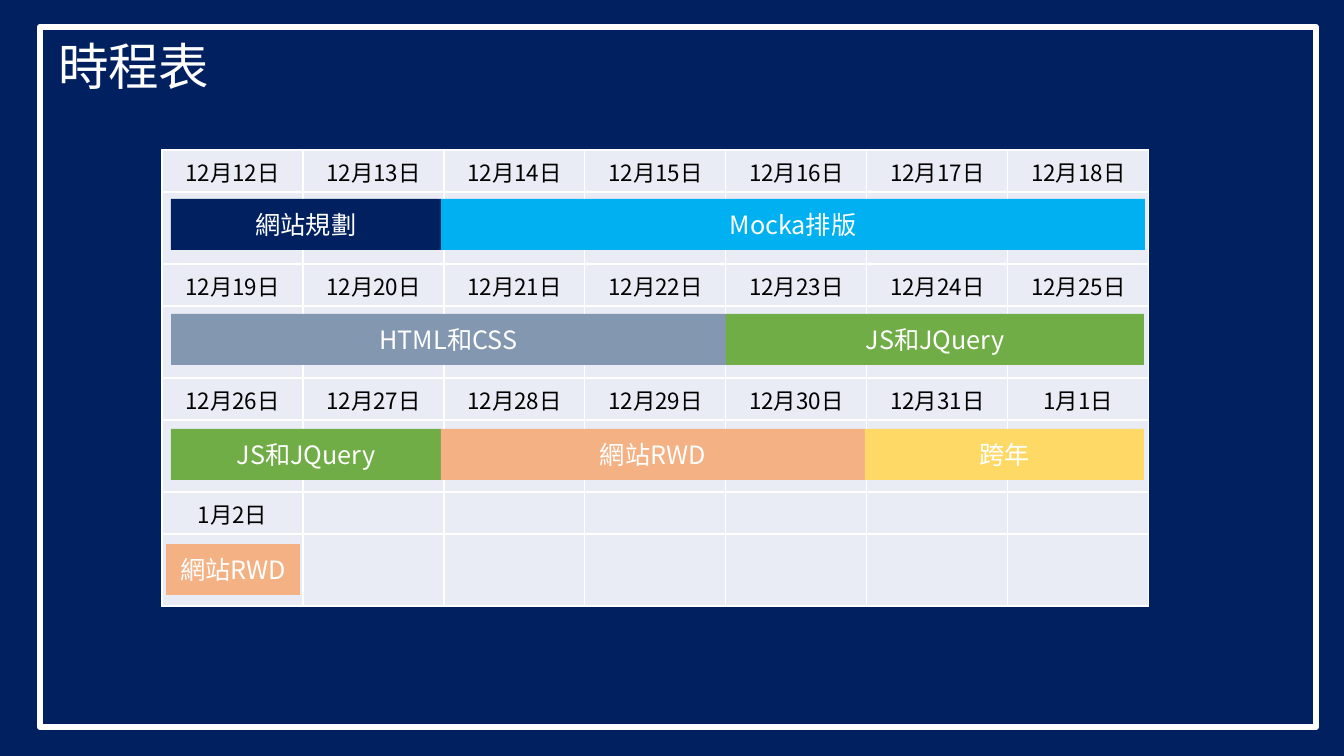
from dataclasses import dataclass

from lxml import etree
from pptx import Presentation
from pptx.dml.color import RGBColor
from pptx.enum.shapes import MSO_SHAPE
from pptx.enum.text import MSO_ANCHOR, MSO_AUTO_SIZE, PP_ALIGN
from pptx.oxml.ns import qn
from pptx.util import Pt

RECTANGLE = MSO_SHAPE.RECTANGLE
LEFT, CENTER = PP_ALIGN.LEFT, PP_ALIGN.CENTER
TOP, MIDDLE = MSO_ANCHOR.TOP, MSO_ANCHOR.MIDDLE


@dataclass(frozen=True)
class Theme:
    font: str = "Noto Sans CJK JP"
    navy: str = "002060"
    white: str = "FFFFFF"
    black: str = "000000"
    cell: str = "E9EBF5"
    sky: str = "00B0F0"
    slate: str = "8497B0"
    green: str = "70AD47"
    peach: str = "F4B183"
    yellow: str = "FFD966"
    title_size: int = 36
    task_size: int = 18
    date_size: int = 16
    frame_width: float = 4.5
    grid_width: int = 1


THEME = Theme()

TITLE = "時程表"
WEEKS = [
    ["12月12日", "12月13日", "12月14日", "12月15日", "12月16日", "12月17日", "12月18日"],
    ["12月19日", "12月20日", "12月21日", "12月22日", "12月23日", "12月24日", "12月25日"],
    ["12月26日", "12月27日", "12月28日", "12月29日", "12月30日", "12月31日", "1月1日"],
    ["1月2日"],
]
# task, week, left edge, right edge, colour
TASKS = [
    ("網站規劃", 0, 171, 441, THEME.navy),
    ("Mocka排版", 0, 441, 1145, THEME.sky),
    ("HTML和CSS", 1, 171, 726, THEME.slate),
    ("JS和JQuery", 1, 726, 1144, THEME.green),
    ("JS和JQuery", 2, 171, 441, THEME.green),
    ("網站RWD", 2, 441, 865, THEME.peach),
    ("跨年", 2, 865, 1144, THEME.yellow),
    ("網站RWD", 3, 166, 300, THEME.peach),
]

SLIDE_W, SLIDE_H = 1344, 756
FRAME_BOX = (40, 27, 1276, 700)
TITLE_BOX = (48, 30, 173, 72)
GRID_X, GRID_Y = 162, 150
DAYS, DAY_W = 7, 141
DATE_H, TASK_H = 42, 72
BAR_Y, BAR_STEP, BAR_H = 199, 115, 51
CELL_INSET = 1
EMU_PER_PX = 12192000 / SLIDE_W


def px(length):
    return round(length * EMU_PER_PX)


def box(left, top, width, height):
    return px(left), px(top), px(width), px(height)


def color(code):
    return RGBColor.from_string(code)


def write(frame, text, *, size, ink=THEME.white, align=CENTER, anchor=MIDDLE):
    frame.vertical_anchor = anchor
    paragraph = frame.paragraphs[0]
    paragraph.alignment = align
    run = paragraph.add_run()
    run.text = text
    run.font.size = Pt(size)
    run.font.name = THEME.font
    run.font.color.rgb = color(ink)
    east_asian = etree.SubElement(run.font._element, qn("a:ea"))
    east_asian.set("typeface", THEME.font)


def add_rectangle(slide, bounds, fill=None):
    shape = slide.shapes.add_shape(RECTANGLE, *box(*bounds))
    shape.shadow.inherit = False
    if fill:
        shape.fill.solid()
        shape.fill.fore_color.rgb = color(fill)
        shape.line.fill.background()
    else:
        shape.fill.background()
    return shape


def style_cell(cell):
    """Give a cell its insets, white borders and fill."""
    cell.margin_left = cell.margin_right = cell.margin_top = px(CELL_INSET)
    cell.margin_bottom = 0
    properties = cell._tc.get_or_add_tcPr()
    for side in ("a:lnL", "a:lnR", "a:lnT", "a:lnB"):
        border = etree.SubElement(properties, qn(side), w=str(Pt(THEME.grid_width)))
        solid = etree.SubElement(border, qn("a:solidFill"))
        etree.SubElement(solid, qn("a:srgbClr"), val=THEME.white)
    cell.fill.solid()
    cell.fill.fore_color.rgb = color(THEME.cell)


def add_calendar(slide):
    heights = [DATE_H, TASK_H] * len(WEEKS)
    bounds = box(GRID_X, GRID_Y, DAYS * DAY_W, sum(heights))
    calendar = slide.shapes.add_table(len(heights), DAYS, *bounds).table
    calendar.first_row = calendar.horz_banding = False
    for column in calendar.columns:
        column.width = px(DAY_W)
    for row, height in zip(calendar.rows, heights):
        row.height = px(height)
    for cell in calendar.iter_cells():
        style_cell(cell)
    for week, dates in enumerate(WEEKS):
        for day, date in enumerate(dates):
            write(calendar.cell(2 * week, day).text_frame, date,
                  size=THEME.date_size, ink=THEME.black)
            calendar.cell(2 * week, day).vertical_anchor = MIDDLE


def add_title(slide):
    title = slide.shapes.title
    title.left, title.top, title.width, title.height = box(*TITLE_BOX)
    title.text_frame.word_wrap = False
    title.text_frame.auto_size = MSO_AUTO_SIZE.SHAPE_TO_FIT_TEXT
    write(title.text_frame, TITLE, size=THEME.title_size, align=LEFT, anchor=TOP)


def main():
    deck = Presentation()
    deck.slide_width, deck.slide_height = px(SLIDE_W), px(SLIDE_H)
    slide = deck.slides.add_slide(deck.slide_layouts[5])
    slide.background.fill.solid()
    slide.background.fill.fore_color.rgb = color(THEME.navy)

    frame = add_rectangle(slide, FRAME_BOX)
    frame.line.color.rgb = color(THEME.white)
    frame.line.width = Pt(THEME.frame_width)
    add_title(slide)
    add_calendar(slide)
    for task, week, left, right, fill in TASKS:
        bounds = (left, BAR_Y + week * BAR_STEP, right - left, BAR_H)
        bar = add_rectangle(slide, bounds, fill)
        write(bar.text_frame, task, size=THEME.task_size)
    deck.save("out.pptx")


if __name__ == "__main__":
    main()
